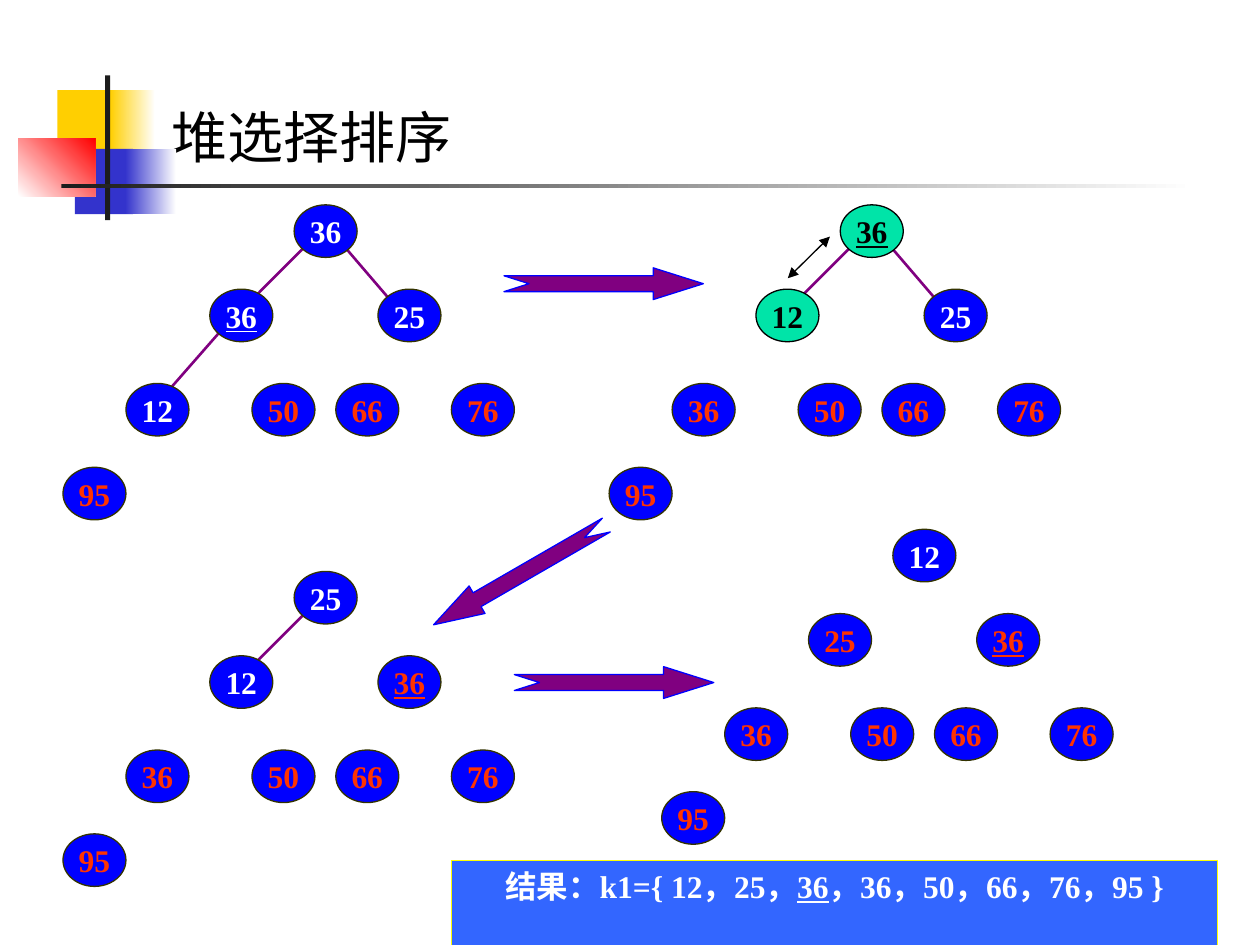
import dataclasses
import pptx
import pptx.dml.color
import pptx.enum.shapes
import pptx.enum.text
import pptx.oxml
import pptx.oxml.ns
import pptx.util

Cm = pptx.util.Cm
Kind = pptx.enum.shapes.MSO_SHAPE
Align = pptx.enum.text.PP_ALIGN
Anchor = pptx.enum.text.MSO_ANCHOR


@dataclasses.dataclass(frozen=True)
class Theme:
    gold: str = "FFCF01"
    navy: str = "3333CC"
    red: str = "FF0000"
    dark: str = "1C1C1C"
    white: str = "FFFFFF"
    black: str = "000000"
    node: str = "0000FF"
    rim: str = "333300"
    done: str = "FF3300"
    swap: str = "00E4A8"
    edge: str = "800080"
    band: str = "3366FF"
    frame: str = "FFFF00"
    head: int = 32
    body: int = 18
    thin: float = 0.75
    thick: float = 1.5
    serif: str = "Times New Roman"
    sans: str = "Noto Sans CJK JP"


THEME = Theme()
NODE = (1.27, 1.06)
SPOTS = [(4.66, 0), (2.96, 1.7), (6.35, 1.7), (1.27, 3.6),
         (3.81, 3.6), (5.5, 3.6), (7.83, 3.6), (0, 5.29)]
EDGES = [(5.08, 0.64, 3.6, 2.12), (5.5, 0.64, 6.77, 2.12),
         (3.18, 2.54, 1.69, 4.24)]
TAIL = ["50", "66", "76", "95"]


def rgb(code):
    return pptx.dml.color.RGBColor.from_string(code)


def add_run(para, text, size, color, font, bold=False, under=False):
    run = para.add_run()
    run.text = text
    run.font.size = pptx.util.Pt(size)
    run.font.name = font
    run.font.bold = bold
    run.font.underline = under
    run.font.color.rgb = rgb(color)
    east = pptx.oxml.parse_xml(
        f'<a:ea {pptx.oxml.ns.nsdecls("a")} typeface="{THEME.sans}"/>')
    run.font._element.find(pptx.oxml.ns.qn("a:latin")).addnext(east)


def add_shape(slide, kind, box, fill, line=None):
    shape = slide.shapes.add_shape(kind, *map(Cm, box))
    shape.shadow.inherit = False
    if isinstance(fill, tuple):
        shape.fill.gradient()
        start, end, angle = fill
        shape.fill.gradient_angle = angle
        for stop, color in zip(shape.fill.gradient_stops, (start, end)):
            stop.color.rgb = rgb(color)
    else:
        shape.fill.solid()
        shape.fill.fore_color.rgb = rgb(fill)
    if line:
        shape.line.color.rgb = rgb(line)
        shape.line.width = pptx.util.Pt(THEME.thin)
    else:
        shape.line.fill.background()
    return shape


def add_line(slide, ends, color, width, heads=False):
    link = slide.shapes.add_connector(
        pptx.enum.shapes.MSO_CONNECTOR.STRAIGHT, *map(Cm, ends))
    link.line.color.rgb = rgb(color)
    link.line.width = pptx.util.Pt(width)
    names = pptx.oxml.ns.nsdecls("a")
    if heads:
        for tag in ("headEnd", "tailEnd"):
            link.line._get_or_add_ln().append(
                pptx.oxml.parse_xml(f'<a:{tag} {names} type="triangle"/>'))
    link._element.spPr.append(pptx.oxml.parse_xml(f"<a:effectLst {names}/>"))


def add_decor(slide, left, top):
    fade = THEME.white
    parts = [
        ((0.79, 0.3, 1.22, 1.32), THEME.gold),
        ((1.85, 0.3, 0.91, 1.32), (THEME.gold, fade, 0)),
        ((1.14, 1.48, 1.17, 1.32), THEME.navy),
        ((2.16, 1.48, 1.02, 1.32), (THEME.navy, fade, 0)),
        ((0, 1.27, 1.55, 1.17), (fade, THEME.red, 45)),
        ((1.75, 0, 0.1, 2.92), THEME.dark),
        ((0.87, 2.2, 22.86, 0.08), (THEME.dark, fade, 0)),
    ]
    for (x, y, wide, high), fill in parts:
        add_shape(slide, Kind.RECTANGLE, (left + x, top + y, wide, high), fill)


def add_title(slide, box, text):
    title = slide.shapes.title
    title.left, title.top, title.width, title.height = map(Cm, box)
    frame = title.text_frame
    frame.auto_size = pptx.enum.text.MSO_AUTO_SIZE.NONE
    frame.vertical_anchor = Anchor.MIDDLE
    para = frame.paragraphs[0]
    para.alignment = Align.LEFT
    add_run(para, text, THEME.head, THEME.black, THEME.sans)


def add_node(slide, left, top, label, fill, line, color):
    node = add_shape(slide, Kind.OVAL, (left, top, *NODE), fill, line)
    frame = node.text_frame
    frame.word_wrap = False
    frame.vertical_anchor = Anchor.MIDDLE
    para = frame.paragraphs[0]
    para.alignment = Align.CENTER
    add_run(para, label.rstrip("_"), THEME.body, color, THEME.serif,
            True, label.endswith("_"))


def add_heap(slide, left, top, labels, live, swap=False):
    for x1, y1, x2, y2 in EDGES[:live - 1]:
        add_line(slide, (left + x1, top + y1, left + x2, top + y2),
                 THEME.edge, THEME.thick)
    for rank, (label, (x, y)) in enumerate(zip(labels + TAIL, SPOTS)):
        if swap and rank < 2:
            look = THEME.swap, THEME.black, THEME.black
        else:
            color = THEME.white if rank < live else THEME.done
            look = THEME.node, THEME.rim, color
        add_node(slide, left + x, top + y, label, *look)
    if swap:
        add_line(slide, (left + 4.45, top + 0.64, left + 3.6, top + 1.48),
                 THEME.black, THEME.thin, True)


def add_arrow(slide, left, top, turn=0):
    arrow = add_shape(slide, Kind.NOTCHED_RIGHT_ARROW,
                      (left, top, 4.02, 0.64), THEME.edge, THEME.node)
    arrow.adjustments[0] = 0.5
    arrow.adjustments[1] = 1.58
    arrow.rotation = turn


def add_result(slide, box):
    band = add_shape(slide, Kind.RECTANGLE, box, THEME.band, THEME.frame)
    frame = band.text_frame
    frame.word_wrap = True
    frame.vertical_anchor = Anchor.TOP
    para = frame.paragraphs[0]
    para.alignment = Align.CENTER
    for text, under in [("结果：k1={ 12，25，", False), ("36", True),
                        ("，36，50，66，76，95 }", False)]:
        add_run(para, text, THEME.body, THEME.white, THEME.serif, True, under)


def main():
    deck = pptx.Presentation()
    deck.slide_width, deck.slide_height = Cm(25.4), Cm(19.05)
    slide = deck.slides.add_slide(deck.slide_layouts[5])
    add_decor(slide, 0.37, 1.52)
    add_title(slide, (3.2, 1.93, 22.2, 1.63), "堆选择排序")
    add_heap(slide, 1.27, 4.13, ["36", "36_", "25", "12"], 4)
    add_heap(slide, 12.28, 4.13, ["36_", "12", "25", "36"], 3, True)
    add_heap(slide, 1.27, 11.52, ["25", "12", "36_", "36"], 2)
    add_heap(slide, 13.34, 10.67, ["12", "25", "36_", "36"], 1)
    add_result(slide, (9.1, 17.35, 15.45, 1.78))
    add_arrow(slide, 10.16, 5.4)
    add_arrow(slide, 10.37, 13.44)
    add_arrow(slide, 8.47, 11.27, 150)
    deck.save("out.pptx")


if __name__ == "__main__":
    main()
